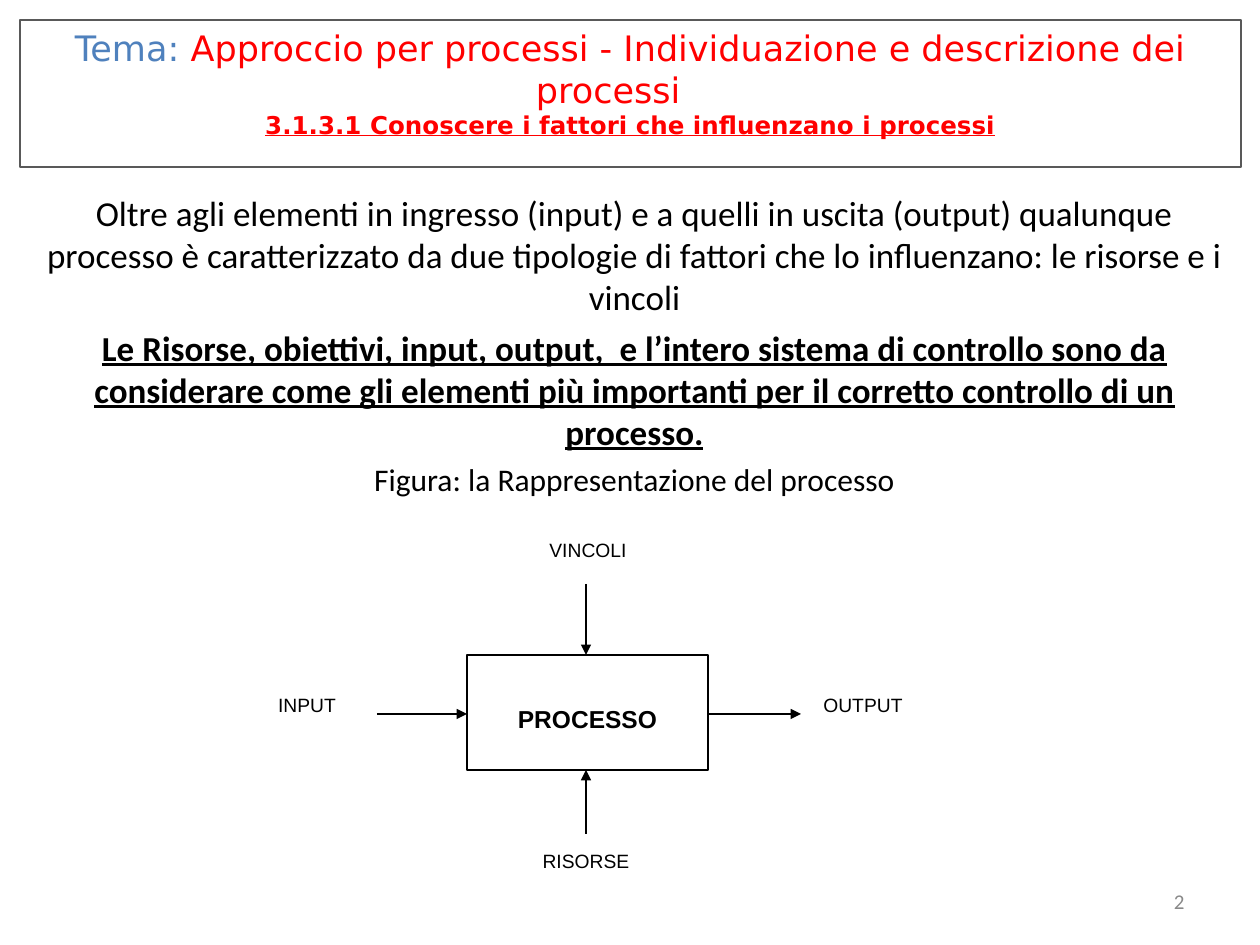
import pptx
import pptx.util
import pptx.dml.color
import pptx.enum.shapes
import pptx.enum.text
import pptx.oxml.ns
import lxml.etree

PX = 914400 / 126
ALIGN = pptx.enum.text.PP_ALIGN
ANCHOR = pptx.enum.text.MSO_ANCHOR


def emu(*lengths):
    return [pptx.util.Emu(round(v * PX)) for v in lengths]


def rgb(value):
    return pptx.dml.color.RGBColor.from_string(value)


def style(r, size, font, color="000000", bold=False, underline=False):
    f = r.font
    f.size, f.name, f.bold, f.underline = pptx.util.Pt(size), font, bold, underline
    f.color.rgb = rgb(color)


def outline(sp, color):
    sp.line.color.rgb = rgb(color)
    sp.line.width = pptx.util.Pt(0.75)


def frame(sp, anchor):
    tf = sp.text_frame
    tf.word_wrap = True
    tf.auto_size = pptx.enum.text.MSO_AUTO_SIZE.NONE
    tf.vertical_anchor = anchor
    return tf


def add_title(s):
    sp = s.shapes.title
    sp.left, sp.top, sp.width, sp.height = emu(20, 20, 1221, 147)
    outline(sp, "595959")
    tf = frame(sp, ANCHOR.TOP)
    p = tf.paragraphs[0]
    p.text = "Tema: "
    # The closing tab shifts the centred second line to the left
    p.add_run().text = "Approccio per processi - Individuazione e descrizione dei processi\t"
    style(p.runs[0], 20, "DejaVu Sans", "4F81BD")
    style(p.runs[1], 20, "DejaVu Sans", "FF0000")
    p.add_line_break()
    r = p.add_run()
    r.text = "3.1.3.1 Conoscere i fattori che influenzano i processi"
    style(r, 14, "DejaVu Sans", "FF0000", True, True)
    p.alignment = ALIGN.CENTER


def add_text(s, box, paragraphs, align=ALIGN.CENTER, color="000000"):
    """Each paragraph is (text, size, emphasised, space before)."""
    tf = frame(s.shapes.add_textbox(*emu(*box)), ANCHOR.MIDDLE)
    for i, (text, size, strong, before) in enumerate(paragraphs):
        p = tf.add_paragraph() if i else tf.paragraphs[0]
        p.text = text
        p.alignment = align
        p.space_before = pptx.util.Pt(before)
        style(p.runs[0], size, "Calibri", color, strong, strong)


def add_box(s, box, text, size=11, bold=False, line=None, top=6):
    sp = s.shapes.add_shape(pptx.enum.shapes.MSO_SHAPE.RECTANGLE, *emu(*box))
    sp.shadow.inherit = False
    sp.fill.solid()
    sp.fill.fore_color.rgb = rgb("FFFFFF")
    if line:
        outline(sp, line)
    else:
        sp.line.fill.background()
    tf = frame(sp, ANCHOR.TOP)
    tf.margin_top = emu(top)[0]
    p = tf.paragraphs[0]
    p.text = text
    p.alignment = ALIGN.CENTER
    style(p.runs[0], size, "Arial", bold=bold)


def add_arrow(s, *ends):
    cn = s.shapes.add_connector(pptx.enum.shapes.MSO_CONNECTOR.STRAIGHT, *emu(*ends))
    outline(cn, "000000")
    qn = pptx.oxml.ns.qn
    lxml.etree.SubElement(cn.line._get_or_add_ln(), qn("a:tailEnd"), type="triangle")
    lxml.etree.SubElement(cn._element.spPr, qn("a:effectLst"))


def main():
    prs = pptx.Presentation()
    prs.slide_width, prs.slide_height = emu(1260, 945)
    s = prs.slides.add_slide(prs.slide_layouts[5])
    add_title(s)

    # Explanation, figure caption and page number
    add_text(s, (29, 184, 1211, 321), [
        ("Oltre agli elementi in ingresso (input) e a quelli in uscita (output) "
         "qualunque processo è caratterizzato da due tipologie di fattori che lo "
         "influenzano: le risorse e i vincoli", 20, False, 5),
        ("Le Risorse, obiettivi, input, output,  e l’intero sistema di controllo "
         "sono da considerare come gli elementi più importanti per il corretto "
         "controllo di un processo.", 20, True, 5),
        ("Figura: la Rappresentazione del processo", 18, False, 4.5),
    ])
    add_text(s, (903, 876, 294, 50), [("2", 12, False, 0)], ALIGN.RIGHT, "898989")

    # Process with its four factors
    add_box(s, (467, 655, 241, 115), "PROCESSO", 14, True, "000000", 49)
    for text, left, top in (("VINCOLI", 498, 532), ("INPUT", 217, 687),
                            ("OUTPUT", 773, 687), ("RISORSE", 496, 843)):
        add_box(s, (left, top, 180, 60), text)

    # Flows into and out of the process
    for ends in ((377, 714, 467, 714), (708, 714, 801, 714),
                 (586, 584, 586, 655), (586, 834, 586, 770)):
        add_arrow(s, *ends)

    prs.save("out.pptx")


if __name__ == "__main__":
    main()
